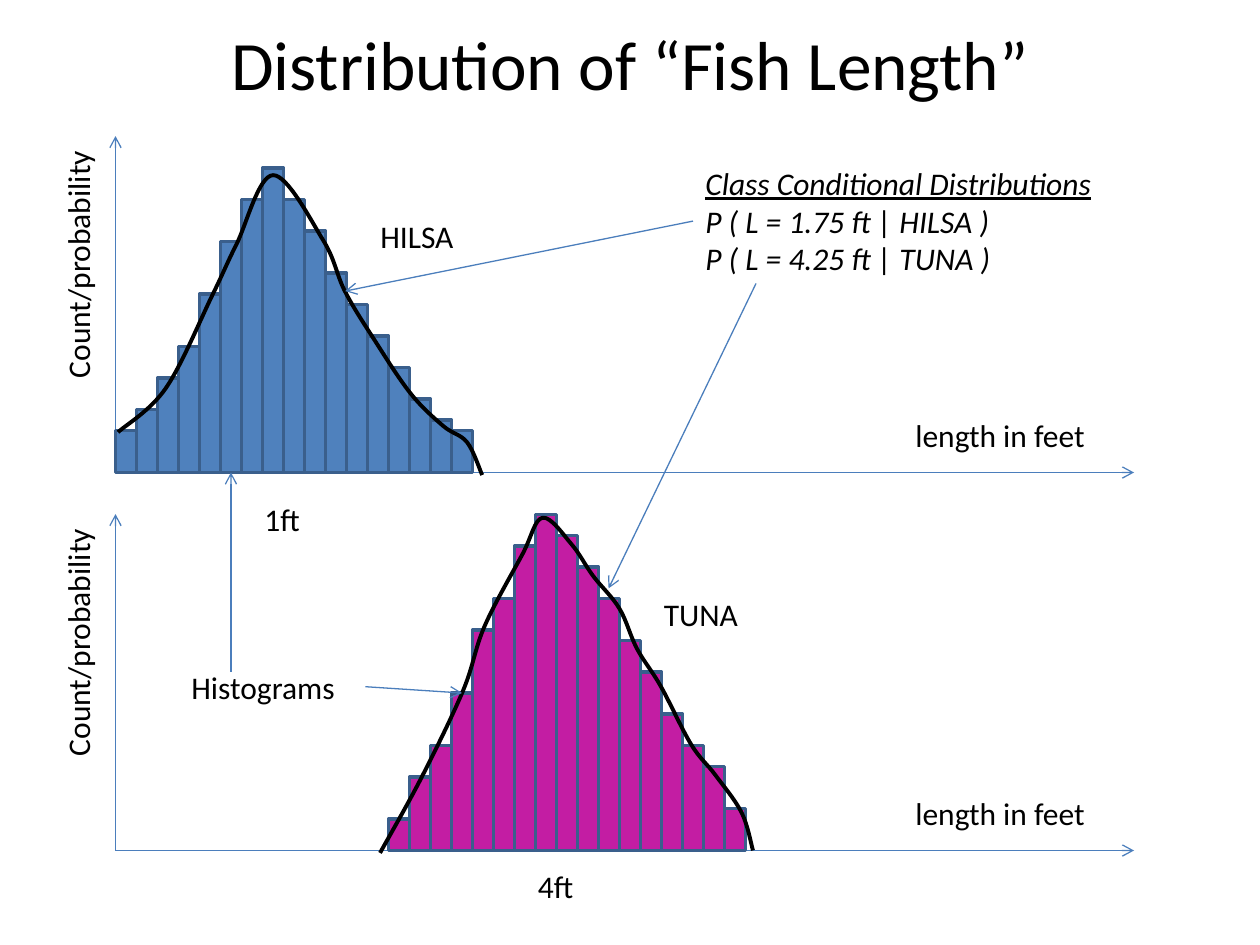
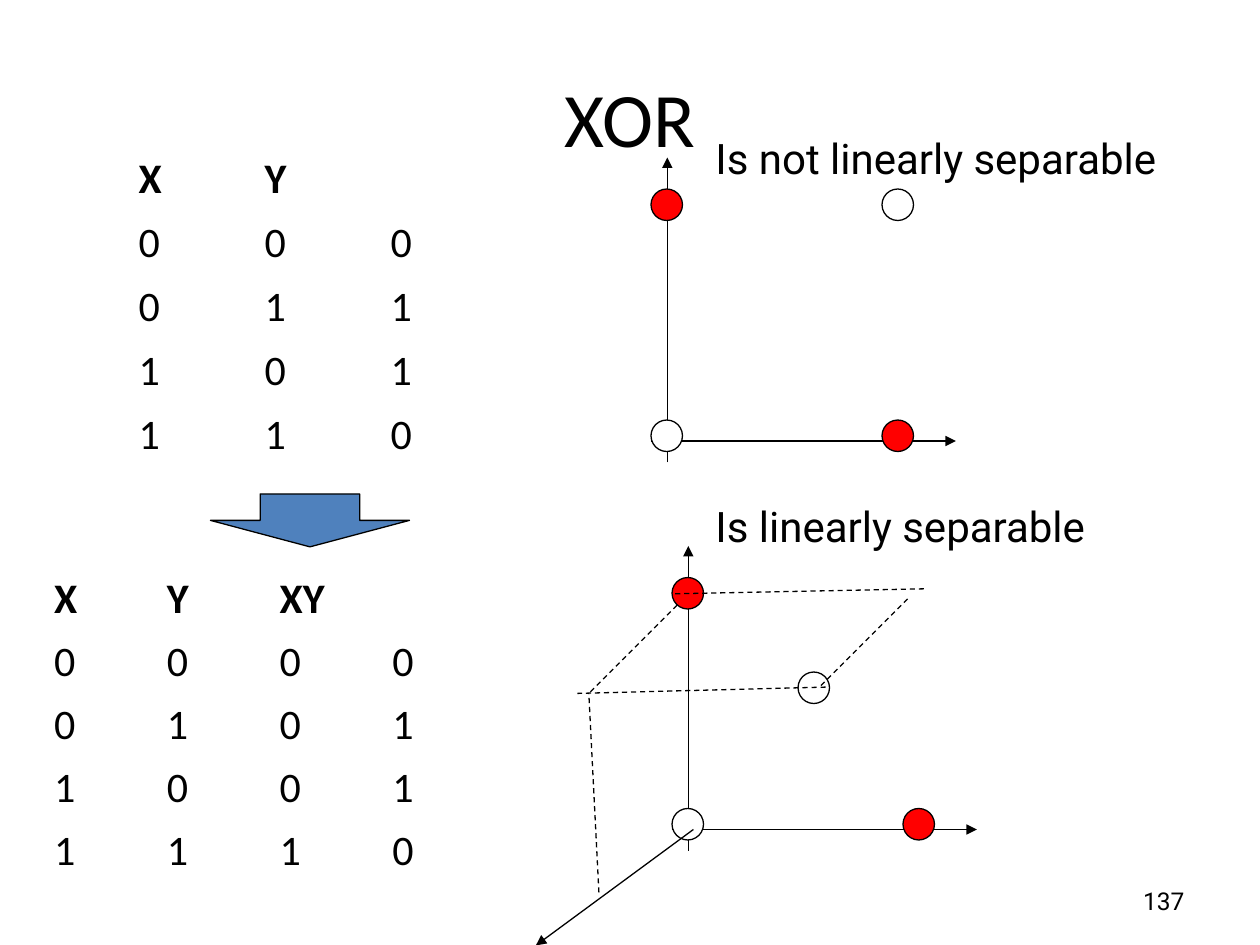
import pptx
import pptx.util
import pptx.dml.color
import pptx.enum.dml
import pptx.enum.shapes
import pptx.enum.text
import pptx.oxml.ns
import lxml.etree

Inches = pptx.util.Inches
qn = pptx.oxml.ns.qn
SHAPE = pptx.enum.shapes.MSO_SHAPE
ALIGN = pptx.enum.text.PP_ALIGN
ANCHOR = pptx.enum.text.MSO_ANCHOR
FIT = pptx.enum.text.MSO_AUTO_SIZE

BLACK, WHITE, RED = "000000", "FFFFFF", "FF0000"
BLUE, BLUE_EDGE, BLUE_LINE, MAGENTA = "4F81BD", "3A5F8C", "4B7EBC", "C31DA3"
BAR_WIDTH = 1 / 6
HEIGHT_UNIT = 1 / 12
AXIS_LEFT = 11 / 12
HILSA_BASE, TUNA_BASE = 3.75, 6.75
DOT, DOT_RIGHT, DOT_LOW = 0.25, 11 / 6, 25 / 12

HILSA_BARS = [4, 6, 9, 12, 17, 22, 26, 29, 26, 23, 19, 16, 13, 10, 7, 5, 4]
TUNA_BARS = [3, 7, 10, 15, 21, 24, 29, 32, 30, 27, 24, 20, 17, 13, 10, 8, 4]
HILSA_CURVE = [
    (0.02, 0.32), (0.4, 0.67), (0.77, 1.41), (0.96, 1.81), (1.25, 2.36), (1.65, 1.84),
    (1.82, 1.44), (2.05, 1.06), (2.34, 0.63), (2.6, 0.37), (2.79, 0.24), (2.91, -0.02),
]
TUNA_CURVE = [
    (2.1, -0.02), (2.43, 0.58), (2.76, 1.27), (2.93, 1.78), (3.23, 2.35), (3.39, 2.64),
    (3.62, 2.43), (3.79, 2.18), (4, 1.92), (4.14, 1.6), (4.33, 1.3), (4.57, 0.84),
    (4.76, 0.6), (4.97, 0.3), (5.06, 0),
]
XOR_ROWS = ["X Y", "0 0 0", "0 1 1", "1 0 1", "1 1 0"]
PRODUCT_ROWS = ["X Y XY", "0 0 0 0", "0 1 0 1", "1 0 0 1", "1 1 1 0"]


def color(value):
    """Turn a hex string into a colour."""
    return pptx.dml.color.RGBColor.from_string(value)


def apply(target, formats):
    """Set each attribute named in a dict of formats."""
    for name, value in formats.items():
        setattr(target, name, value)


def style_span(span, size, font="Calibri", **formats):
    """Give a run its font, size, colour and emphasis."""
    apply(span.font, {"name": font, "size": pptx.util.Pt(size), **formats})
    span.font.color.rgb = color(BLACK)


def add_text(page, box, text, size=18, font="Calibri", align=ALIGN.LEFT, anchor=ANCHOR.TOP,
             wrap=False, rotation=0):
    """Add a text box holding one paragraph."""
    shape = page.shapes.add_textbox(*map(Inches, box))
    shape.rotation = rotation
    fit = FIT.NONE if wrap else FIT.SHAPE_TO_FIT_TEXT
    apply(shape.text_frame, {"word_wrap": wrap, "auto_size": fit, "vertical_anchor": anchor})
    para = shape.text_frame.paragraphs[0]
    para.alignment = align
    span = para.add_run()
    span.text = text
    style_span(span, size, font)
    return shape


def add_title(page, text, top, height, size):
    """Add the centred slide title."""
    add_text(page, (0.5, top, 9, height), text, size, align=ALIGN.CENTER,
             anchor=ANCHOR.MIDDLE, wrap=True)


def add_figure(page, kind, box, fill, edge=BLACK, width=0.75):
    """Add a filled and outlined preset shape."""
    shape = page.shapes.add_shape(kind, *map(Inches, box))
    shape.shadow.inherit = False
    shape.fill.solid()
    shape.fill.fore_color.rgb = color(fill)
    shape.line.color.rgb = color(edge)
    shape.line.width = pptx.util.Pt(width)
    return shape


def add_line(page, start, end, stroke=BLACK, head=None, dashed=False):
    """Add a straight connector, with an arrowhead at its end if named."""
    line = page.shapes.add_connector(pptx.enum.shapes.MSO_CONNECTOR.STRAIGHT,
                                     *map(Inches, (*start, *end)))
    line.line.color.rgb = color(stroke)
    line.line.width = pptx.util.Pt(0.75)
    if dashed:
        line.line.dash_style = pptx.enum.dml.MSO_LINE.DASH
    if head:
        lxml.etree.SubElement(line.line._get_or_add_ln(), qn("a:tailEnd"), type=head)
    lxml.etree.SubElement(line._element.spPr, qn("a:effectLst"))
    return line


def round_corners(outline):
    """Turn the straight segments of a freeform into smooth Bezier curves."""
    knots = [(int(pt.get("x")), int(pt.get("y"))) for pt in outline._element.iter(qn("a:pt"))]
    padded = [knots[0], *knots, knots[-1]]
    segments = list(outline._element.iter(qn("a:lnTo")))
    for segment, a, b, c, d in zip(segments, padded, padded[1:], padded[2:], padded[3:]):
        leave = [q + (r - p) / 6 for p, q, r in zip(a, b, c)]
        arrive = [r - (s - q) / 6 for q, r, s in zip(b, c, d)]
        bend = lxml.etree.Element(qn("a:cubicBezTo"))
        for x, y in (leave, arrive, c):
            lxml.etree.SubElement(bend, qn("a:pt"), x=str(round(x)), y=str(round(y)))
        segment.getparent().replace(segment, bend)


def add_curve(page, left, base, knots):
    """Draw a smooth density curve above a base line."""
    points = [(Inches(left + x), Inches(base - y)) for x, y in knots]
    builder = page.shapes.build_freeform(*points[0])
    builder.add_line_segments(points[1:], close=False)
    curve = builder.convert_to_shape()
    round_corners(curve)
    curve.shadow.inherit = False
    curve.fill.background()
    curve.line.color.rgb = color(BLACK)
    curve.line.width = pptx.util.Pt(2.25)


def add_histogram(page, left, base, first_bar, heights, fill):
    """Draw labelled axes and bars, and return the bars."""
    add_line(page, (left, base), (9, base), BLUE_LINE, "arrow")
    add_line(page, (left, base), (left, base - 2.67), BLUE_LINE, "arrow")
    add_text(page, (left + 6.25, base - 0.5, 1.65, 0.4), "length in feet")
    add_text(page, (left - 1.35, base - 1.9, 2.1, 0.4), "Count/probability", rotation=270)
    bars = []
    for index, units in enumerate(heights):
        height = units * HEIGHT_UNIT
        box = (left + first_bar + index * BAR_WIDTH, base - height, BAR_WIDTH, height)
        bars.append(add_figure(page, SHAPE.RECTANGLE, box, fill, BLUE_EDGE, 2))
    return bars


def add_conditionals(page, box):
    """Add the underlined heading and the two conditional probabilities."""
    note = add_text(page, box, "Class Conditional Distributions")
    heading = note.text_frame.paragraphs[0].runs[0]
    apply(heading.font, {"italic": True, "underline": True})
    for fish in ("1.75 ft | HILSA", "4.25 ft | TUNA"):
        span = note.text_frame.add_paragraph().add_run()
        span.text = f"P ( L = {fish} )"
        style_span(span, 18, italic=True)
    return note


def build_fish_page(page):
    """Build the slide with the two fish length histograms."""
    add_title(page, "Distribution of “Fish Length”", 0.17, 0.66, 39.6)
    hilsa_group = page.shapes.add_group_shape()
    hilsa = add_histogram(hilsa_group, AXIS_LEFT, HILSA_BASE, 0, HILSA_BARS, BLUE)
    tuna = add_histogram(page, AXIS_LEFT, TUNA_BASE, 13 * BAR_WIDTH, TUNA_BARS, MAGENTA)
    for text, box in (
        ("1ft", (2, 3.92, 0.48, 0.4)),
        ("4ft", (4.17, 6.83, 0.48, 0.4)),
        ("HILSA", (2.92, 1.67, 0.93, 0.4)),
        ("TUNA", (5.17, 4.67, 0.89, 0.4)),
    ):
        add_text(page, box, text)
    add_curve(page, AXIS_LEFT, HILSA_BASE, HILSA_CURVE)
    add_curve(page, AXIS_LEFT, TUNA_BASE, TUNA_CURVE)
    to_hilsa = add_line(page, (5.5, 1.76), (2.74, 2.31), BLUE_LINE, "arrow")
    add_line(page, (6, 2.25), (4.83, 4.67), BLUE_LINE, "arrow")
    note = add_conditionals(page, (5.5, 1.25, 3.62, 1.01))
    to_hilsa.begin_connect(note, 1)
    histograms = add_text(page, (1.42, 5.25, 1.48, 0.4), "Histograms")
    bar_middle = AXIS_LEFT + 5.5 * BAR_WIDTH
    to_blue_bar = add_line(page, (bar_middle, 5.33), (bar_middle, HILSA_BASE), BLUE_LINE, "arrow")
    to_blue_bar.end_connect(hilsa[5], 2)
    to_magenta_bar = add_line(page, (2.9, 5.45), (3.67, 5.5), BLUE_LINE, "arrow")
    to_magenta_bar.begin_connect(histograms, 3)
    to_magenta_bar.end_connect(tuna[3], 0)


def add_truth_table(page, box, rows):
    """Add a plain truth table with a bold heading row."""
    columns = len(rows[-1].split())
    frame = page.shapes.add_table(len(rows), columns, *map(Inches, box))
    table = frame.table
    apply(table, {"first_row": False, "horz_banding": False})
    for row, words in enumerate(rows):
        table.rows[row].height = Inches(0.41)
        for cell in table.rows[row].cells:
            cell.fill.background()
        for column, word in enumerate(words.split()):
            span = table.cell(row, column).text_frame.paragraphs[0].add_run()
            span.text = word
            style_span(span, 24, bold=row == 0)
    frame.height = Inches(box[3])


def add_plot(page, left, top, far_dot):
    """Draw two axes and the four points of the XOR problem."""
    add_line(page, (left + 0.13, top + 2.42), (left + 0.13, top), head="triangle")
    add_line(page, (left, top + 2.25), (left + 2.42, top + 2.25), head="triangle")
    dots = [((0, DOT_LOW), WHITE), ((DOT_RIGHT, DOT_LOW), RED), ((0, 0.25), RED),
            (far_dot, WHITE)]
    for (x, y), fill in dots:
        add_figure(page, SHAPE.OVAL, (left + x, top + y, DOT, DOT), fill)


def add_depth(page, left, top):
    """Add the third axis and the dashed plane to a plot."""
    add_line(page, (left + 0.17, top + 2.25), (left - 1.08, top + 3.17), head="triangle")
    for x1, y1, x2, y2 in (
        (1.22, 1.12, -0.75, 1.17),
        (0.04, 0.47, -0.66, 1.17),
        (-0.58, 2.75, -0.66, 1.17),
        (2, 0.34, 0, 0.38),
        (1.87, 0.42, 1.17, 1.12),
    ):
        add_line(page, (left + x1, top + y1), (left + x2, top + y2), dashed=True)


def build_xor_page(page):
    """Build the slide on XOR and linear separability."""
    add_title(page, "XOR", 0.3, 1.25, 44)
    add_truth_table(page, (1, 1.17, 3, 2.5), XOR_ROWS)
    add_text(page, (7.17, 6.95, 2.33, 0.4), "137", 14, "Roboto", ALIGN.RIGHT,
             ANCHOR.MIDDLE, wrap=True)
    add_plot(page, 31 / 6, 1.25, (DOT_RIGHT, 0.25))
    add_text(page, (5.58, 1, 3.76, 0.51), "Is not linearly separable", 24, "Roboto")
    add_figure(page, SHAPE.DOWN_ARROW, (1.67, 3.92, 1.58, 0.42), BLUE)
    add_truth_table(page, (0.33, 4.5, 3.58, 2.5), PRODUCT_ROWS)
    add_plot(page, 16 / 3, 13 / 3, (1, 1))
    add_depth(page, 16 / 3, 13 / 3)
    add_text(page, (5.58, 3.92, 3.17, 0.51), "Is linearly separable", 24, "Roboto")


def main():
    """Build and save the deck."""
    deck = pptx.Presentation()
    apply(deck, {"slide_width": Inches(10), "slide_height": Inches(7.5)})
    for build in (build_fish_page, build_xor_page):
        build(deck.slides.add_slide(deck.slide_layouts[6]))
    deck.save("out.pptx")


if __name__ == "__main__":
    main()
